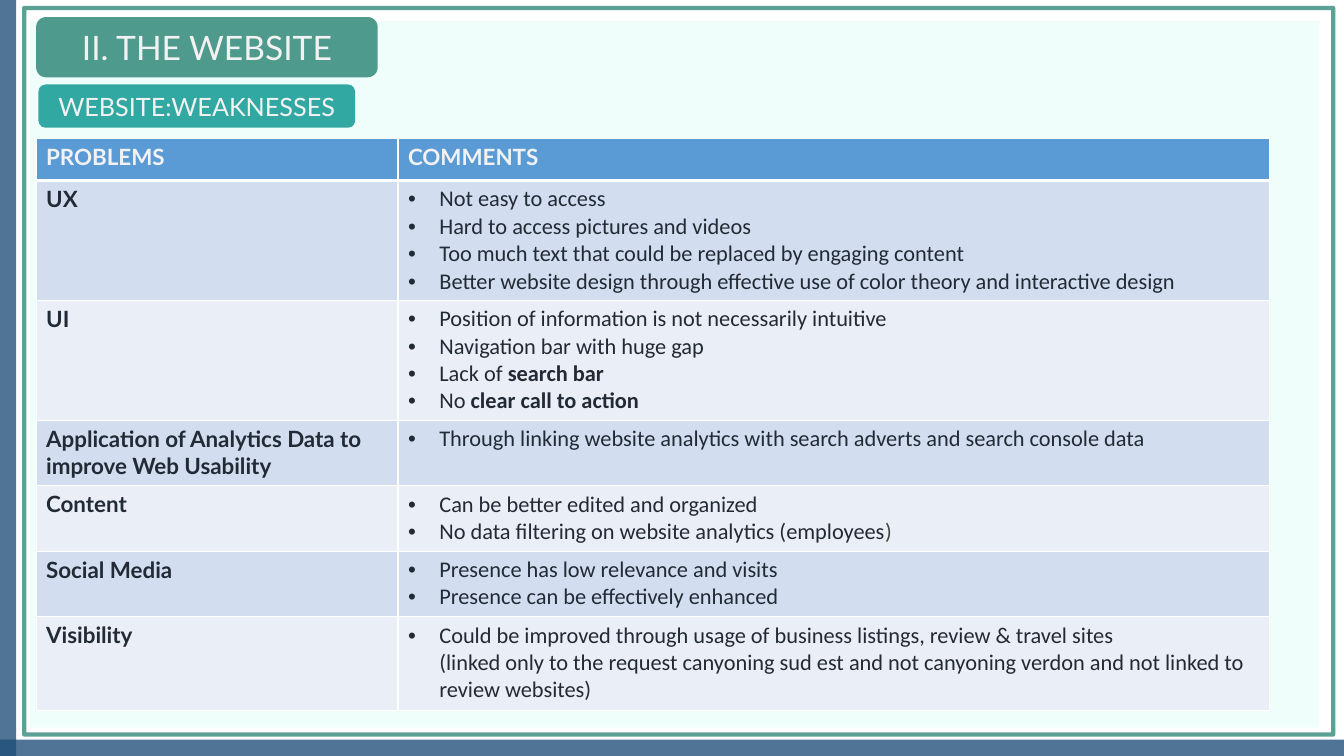
from lxml import etree
from pptx import Presentation
from pptx import util as u
from pptx.dml.color import RGBColor
from pptx.enum import shapes, text
from pptx.oxml import ns

WHITE = RGBColor(0xFF, 0xFF, 0xFF)
LIGHT = RGBColor(0xF2, 0xF2, 0xF2)
MINT = RGBColor(0x9A, 0xFC, 0xE2)
GREEN = RGBColor(0x34, 0x8A, 0x7A)
TEAL = RGBColor(0x32, 0xA8, 0xA2)
NAVY = RGBColor(0x1F, 0x4E, 0x79)
INK = RGBColor(0x22, 0x2A, 0x35)
GREY = RGBColor(0x43, 0x43, 0x43)
HEADER = RGBColor(0x5B, 0x9B, 0xD5)
BANDS = RGBColor(0xD2, 0xDE, 0xEF), RGBColor(0xEA, 0xEF, 0xF7)

WIDTH, HEIGHT = 33.87, 19.05
BAR = 0.41
COLUMNS = 9.12, 21.97
HEADINGS = "PROBLEMS", "COMMENTS"

# Each row: height, problem, comments; a comment is a list of (text, format) spans.
ROWS = [
    (3.02, "UX", [
        [("Not easy to access", {})],
        [("Hard to access pictures and videos", {})],
        [("Too much text that could be replaced by engaging content", {})],
        [("Better website design through effective use of color theory and interactive design", {})],
    ]),
    (3.02, "UI", [
        [("Position of information is not necessarily intuitive", {})],
        [("Navigation bar with huge gap", {})],
        [("Lack of ", {}), ("search bar", {"bold": True})],
        [("No ", {}), ("clear call to action", {"bold": True})],
    ]),
    (1.65, "Application of Analytics Data to improve Web Usability", [
        [("Through linking website analytics with search adverts and search console data", {})],
    ]),
    (1.65, "Content", [
        [("Can be better edited and organized", {})],
        [("No data filtering on website analytics (employees", {}), (")", {"color": GREY})],
    ]),
    (1.65, "Social Media", [
        [("Presence has low relevance and visits", {})],
        [("Presence can be effectively enhanced", {})],
    ]),
    (2.36, "Visibility", [
        [("Could be improved through usage of business listings, review & travel sites\n"
          "(linked only to the request canyoning sud est and not canyoning verdon "
          "and not linked to review websites)", {})],
    ]),
]


def add_text(para, words, size=16, font="Lato", color=INK, bold=False):
    """Append words to the paragraph, with a line break at each newline."""
    for number, line in enumerate(words.split("\n")):
        if number:
            para.add_line_break()
        span = para.add_run()
        span.text = line
        span.font.size = u.Pt(size)
        span.font.name = font
        span.font.bold = bold
        span.font.color.rgb = color


def add_block(page, box, kind=shapes.MSO_SHAPE.RECTANGLE, fill=None, line=None, opacity=100):
    block = page.shapes.add_shape(kind, *map(u.Cm, box))
    block.shadow.inherit = False
    if fill is None:
        block.fill.background()
    else:
        block.fill.solid()
        block.fill.fore_color.rgb = fill
    if line is None:
        block.line.fill.background()
    else:
        block.line.color.rgb = line
        block.line.width = u.Pt(3)
    if opacity < 100:
        for color in block.element.spPr.iter(ns.qn("a:srgbClr")):
            etree.SubElement(color, ns.qn("a:alpha"), val=str(opacity * 1000))
    return block


def add_backdrop(page, box):
    left, top, width, height = box
    add_block(page, (left + 0.76, top + 0.53, width - 1.38, height - 1.24), fill=MINT, opacity=15)
    add_block(page, (left + 0.61, top + 0.2, width - 0.88, height - 0.74), line=GREEN, opacity=80)
    add_block(page, (left, top, BAR, height), fill=NAVY, opacity=78)
    add_block(page, (left, top + height - BAR, width, BAR), fill=NAVY, opacity=78)


def write_label(shape, words, size):
    frame = shape.text_frame
    frame.word_wrap = True
    frame.auto_size = text.MSO_AUTO_SIZE.NONE
    frame.vertical_anchor = text.MSO_ANCHOR.MIDDLE
    frame.margin_left = frame.margin_right = u.Cm(0.25)
    frame.margin_top = frame.margin_bottom = u.Cm(0.25)
    para = frame.paragraphs[0]
    para.alignment = text.PP_ALIGN.CENTER
    add_text(para, words, size=size, color=LIGHT)


def add_title(page, box, words):
    """Lay the title placeholder over a rounded label."""
    add_block(page, box, shapes.MSO_SHAPE.ROUNDED_RECTANGLE, fill=GREEN, opacity=86)
    title = page.shapes.title
    title.left, title.top, title.width, title.height = map(u.Cm, box)
    title.element.getparent().append(title.element)
    write_label(title, words, 24)


def add_subtitle(page, box, words):
    label = add_block(page, box, shapes.MSO_SHAPE.ROUNDED_RECTANGLE, fill=TEAL)
    write_label(label, words, 18)


def format_cell(cell, fill, top=1, bottom=1):
    """Fill the cell and draw its white borders; top and bottom are widths in points."""
    cell.fill.solid()
    cell.fill.fore_color.rgb = fill
    properties = cell._tc.get_or_add_tcPr()
    for place, (side, width) in enumerate(zip("LRTB", (1, 1, top, bottom))):
        border = etree.Element(ns.qn("a:ln" + side), w=str(u.Pt(width)))
        solid = etree.SubElement(border, ns.qn("a:solidFill"))
        etree.SubElement(solid, ns.qn("a:srgbClr"), val=str(WHITE))
        properties.insert(place, border)


def add_bullet(para):
    properties = para._p.get_or_add_pPr()
    properties.set("marL", str(u.Cm(0.79)))
    properties.set("indent", str(u.Cm(-0.79)))
    etree.SubElement(properties, ns.qn("a:buFont"), typeface="Arial")
    etree.SubElement(properties, ns.qn("a:buChar"), char="•")


def add_problem_table(page, left, top):
    heights = [1.07] + [height for height, _, _ in ROWS]
    frame = page.shapes.add_table(len(heights), len(COLUMNS), u.Cm(left), u.Cm(top),
                                  u.Cm(sum(COLUMNS)), u.Cm(sum(heights)))
    table = frame.table
    for column, width in zip(table.columns, COLUMNS):
        column.width = u.Cm(width)
    for row, height in zip(table.rows, heights):
        row.height = u.Cm(height)
    for number, heading in enumerate(HEADINGS):
        cell = table.cell(0, number)
        format_cell(cell, HEADER, bottom=3)
        add_text(cell.text_frame.paragraphs[0], heading, color=LIGHT, bold=True)
    for number, (_, problem, comments) in enumerate(ROWS, 1):
        name, remarks = table.cell(number, 0), table.cell(number, 1)
        for cell in (name, remarks):
            format_cell(cell, BANDS[(number - 1) % 2], top=3 if number == 1 else 1)
        add_text(name.text_frame.paragraphs[0], problem, bold=True)
        body = remarks.text_frame
        for place, spans in enumerate(comments):
            para = body.add_paragraph() if place else body.paragraphs[0]
            add_bullet(para)
            for words, style in spans:
                add_text(para, words, font="Calibri", **style)


def main():
    deck = Presentation()
    deck.slide_width, deck.slide_height = u.Cm(WIDTH), u.Cm(HEIGHT)
    page = deck.slides.add_slide(deck.slide_layouts[5])
    add_backdrop(page, (0, 0, WIDTH, HEIGHT))
    add_title(page, (0.91, 0.43, 8.61, 1.52), "II. THE WEBSITE")
    add_subtitle(page, (0.97, 2.13, 7.98, 1.09), "WEBSITE:WEAKNESSES")
    add_problem_table(page, 0.91, 3.48)
    deck.save("out.pptx")


if __name__ == "__main__":
    main()
